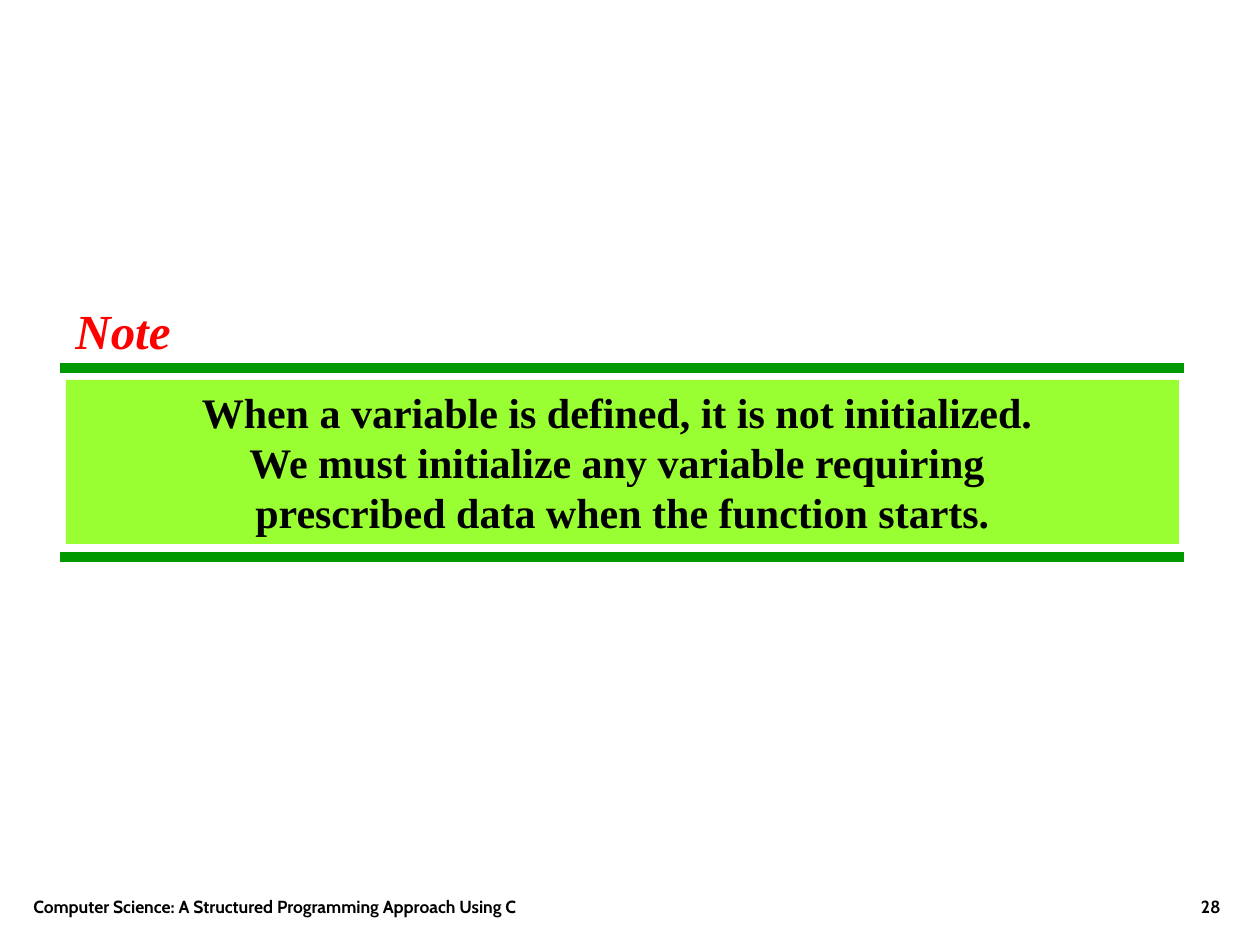
from lxml import etree
from pptx import Presentation
from pptx.dml.color import RGBColor
from pptx.enum.shapes import MSO_CONNECTOR, MSO_SHAPE
from pptx.enum.text import MSO_ANCHOR, MSO_AUTO_SIZE, PP_ALIGN
from pptx.oxml.ns import qn
from pptx.util import Emu, Pt

LEFT, MID, RIGHT = PP_ALIGN.LEFT, PP_ALIGN.CENTER, PP_ALIGN.RIGHT
TOP, BASE = MSO_ANCHOR.TOP, MSO_ANCHOR.BOTTOM
RECT, LINE = MSO_SHAPE.RECTANGLE, MSO_CONNECTOR.STRAIGHT
SERIF, SANS = "Times New Roman", "Cabin"
PX = 914400 // 126

TITLE = "Note"
TITLE_BOX = (63, 294, 120, 72)
NOTE = [
    "When a variable is defined, it is not initialized. ",
    "We must initialize any variable requiring ",
    "prescribed data when the function starts.",
]
NOTE_BOX = (66, 380, 1113, 164)
FOOT = [
    ("Computer Science: A Structured Programming Approach Using C",
     (21, 860, 714, 63), LEFT),
    ("28", (971, 860, 262, 63), RIGHT),
]
RULES = (368, 557)
RULE_ENDS = (60, 1184)


def px(*nums):
    return [Emu(n * PX) for n in nums]


def rgb(code):
    return RGBColor.from_string(code)


def write(shape, lines, face, size, align, anchor, color="000000", slant=False):
    frame = shape.text_frame
    frame.vertical_anchor = anchor
    frame.auto_size = MSO_AUTO_SIZE.NONE
    frame.word_wrap = True
    para = frame.paragraphs[0]
    para.alignment = align
    for i, line in enumerate(lines):
        if i:
            para.add_line_break()
        run = para.add_run()
        run.text = line
        font = run.font
        font.name, font.size = face, Pt(size)
        font.bold, font.italic = True, slant
        font.color.rgb = rgb(color)


deck = Presentation()
deck.slide_width, deck.slide_height = px(1260, 945)
slide = deck.slides.add_slide(deck.slide_layouts[5])
shapes = slide.shapes

for text, box, align in FOOT:
    area = shapes.add_textbox(*px(*box))
    write(area, [text], SANS, 10, align, BASE)

for y in RULES:
    rule = shapes.add_connector(LINE, *px(RULE_ENDS[0], y, RULE_ENDS[1], y))
    rule.line.color.rgb = rgb("009900")
    rule.line.width = Pt(6)
    etree.SubElement(rule._element.spPr, qn("a:effectLst"))

panel = shapes.add_shape(RECT, *px(*NOTE_BOX))
panel.shadow.inherit = False
panel.fill.solid()
panel.fill.fore_color.rgb = rgb("99FF33")
panel.line.fill.background()
write(panel, NOTE, SERIF, 24, MID, TOP)

title = shapes.title
title.left, title.top, title.width, title.height = px(*TITLE_BOX)
title.text_frame.margin_left = title.text_frame.margin_right = 0
write(title, [TITLE], SERIF, 28, MID, TOP, "FF0000", True)

deck.save("out.pptx")
